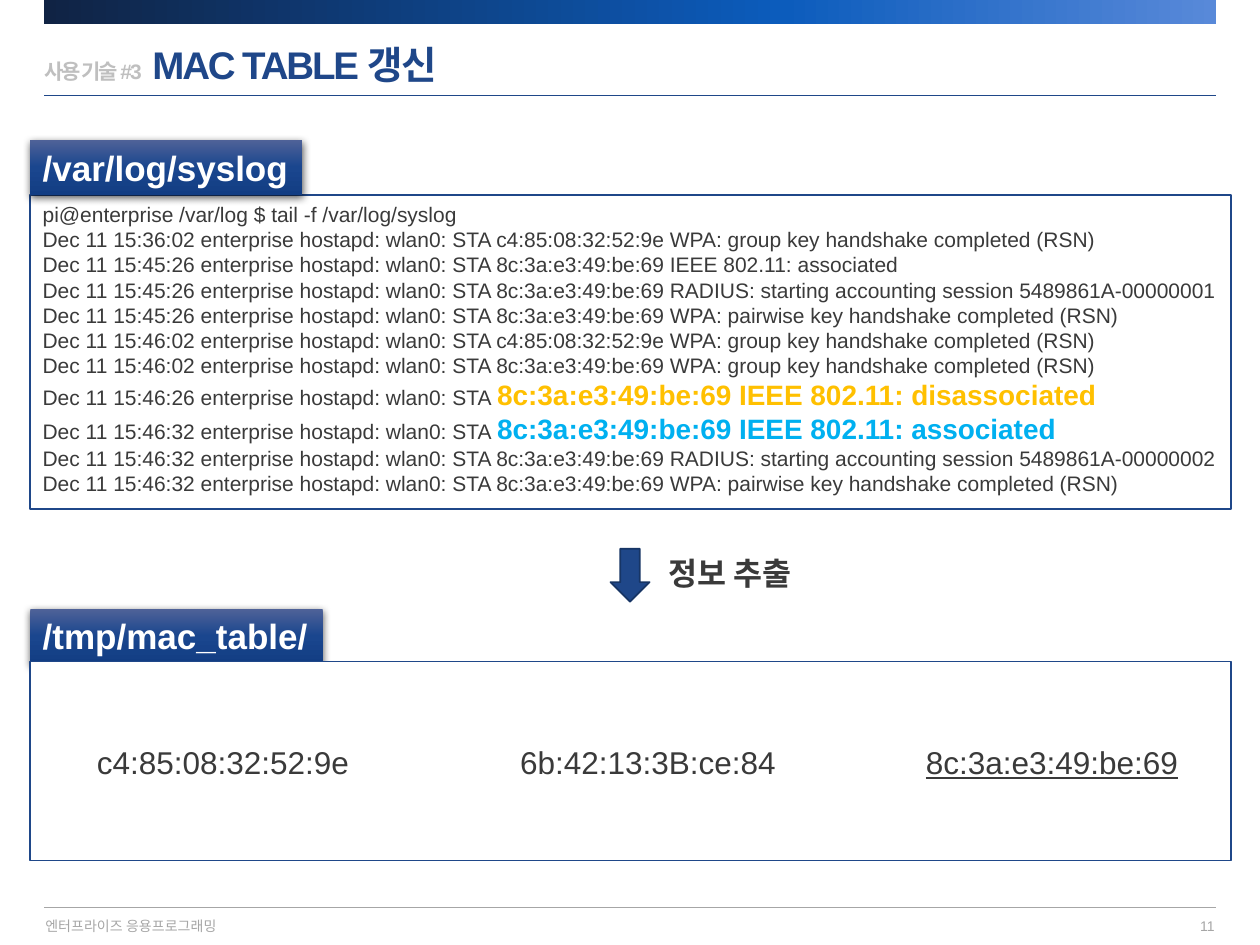
from pptx import Presentation
from pptx.dml.color import RGBColor
from pptx.enum.shapes import MSO_CONNECTOR as Connector, MSO_SHAPE as Shape
from pptx.enum.text import MSO_ANCHOR as Anchor, MSO_AUTO_SIZE as AutoSize, PP_ALIGN as Align
from pptx.oxml import parse_xml
from pptx.oxml.ns import nsdecls
from pptx.util import Inches, Pt

# Content
COLORS = {
    "navy": "1F4789", "edge": "173565", "text": "3A3A3A", "white": "FFFFFF",
    "muted": "BFBFBF", "footer": "A6A6A6", "left": "FFC000", "joined": "00B0F0",
}
BANNER_STOPS = [(0, "102344"), (63, "0C5CBC"), (100, "5889D9")]
LABEL_STOPS = [(0, "4F6298"), (50, "1A468E"), (100, "123D83")]

COMMAND = "pi@enterprise /var/log $ tail -f /var/log/syslog"
PHONE, LAPTOP, TABLET = "8c:3a:e3:49:be:69", "c4:85:08:32:52:9e", "6b:42:13:3B:ce:84"
GROUP = "WPA: group key handshake completed (RSN)"
PAIRWISE = "WPA: pairwise key handshake completed (RSN)"
SESSION = "RADIUS: starting accounting session 5489861A-0000000"
LOG = [  # time, station, message, highlight colour
    ("15:36:02", LAPTOP, GROUP, None),
    ("15:45:26", PHONE, "IEEE 802.11: associated", None),
    ("15:45:26", PHONE, SESSION + "1", None),
    ("15:45:26", PHONE, PAIRWISE, None),
    ("15:46:02", LAPTOP, GROUP, None),
    ("15:46:02", PHONE, GROUP, None),
    ("15:46:26", PHONE, "IEEE 802.11: disassociated", "left"),
    ("15:46:32", PHONE, "IEEE 802.11: associated", "joined"),
    ("15:46:32", PHONE, SESSION + "2", None),
    ("15:46:32", PHONE, PAIRWISE, None),
]
LABELS = [("/var/log/syslog", 1.11, 2.16), ("/tmp/mac_table/", 4.83, 2.32)]
STATIONS = [(LAPTOP, 0.67, 2.22, False), (TABLET, 4.03, 2.25, False), (PHONE, 7.25, 2.22, True)]

MARGIN, RIGHT = 0.35, 9.65
PANEL_LEFT, PANEL_WIDTH = 0.24, 9.53

deck = Presentation()
deck.slide_width, deck.slide_height = Inches(10), Inches(7.5)
page = deck.slides.add_slide(deck.slide_layouts[6])


def color(name):
    return RGBColor.from_string(COLORS[name])


def add_span(para, text, size, tint="text", bold=False, underline=False, spacing=None):
    span = para.add_run()
    span.text = text
    font = span.font
    font.name, font.size, font.bold = "Arial", Pt(size), bold
    font.color.rgb = color(tint)
    if underline:
        font.underline = True
    if spacing is not None:
        span._r.get_or_add_rPr().set("spc", str(round(spacing * 100)))


def add_text(left, top, width, height, inset=True, wrap=False, anchor=Anchor.TOP):
    box = page.shapes.add_textbox(*map(Inches, (left, top, width, height)))
    frame = box.text_frame
    frame.word_wrap, frame.vertical_anchor = wrap, anchor
    if not inset:
        frame.margin_left = frame.margin_right = frame.margin_top = frame.margin_bottom = 0
    return frame.paragraphs[0]


def add_block(left, top, width, height, kind=Shape.RECTANGLE, fill=None, line=None):
    block = page.shapes.add_shape(kind, *map(Inches, (left, top, width, height)))
    block.shadow.inherit = False
    if fill:
        block.fill.solid()
        block.fill.fore_color.rgb = color(fill)
    if line:
        block.line.color.rgb = color(line)
        block.line.width = Pt(1)
    else:
        block.line.fill.background()
    return block


def set_gradient(block, stops, angle):
    block.fill.gradient()
    block.fill.gradient_angle = angle
    stop_list = block._element.spPr.find(".//{*}gsLst")
    for stop in list(stop_list):
        stop_list.remove(stop)
    for place, tint in stops:
        stop_list.append(parse_xml(
            f'<a:gs {nsdecls("a")} pos="{place * 1000}"><a:srgbClr val="{tint}"/></a:gs>'))


def add_rule(top, tint, weight):
    rule = page.shapes.add_connector(
        Connector.STRAIGHT, *map(Inches, (MARGIN, top, RIGHT, top)))
    rule.line.color.rgb = color(tint)
    rule.line.width = Pt(weight)
    rule._element.spPr.append(parse_xml(f'<a:effectLst {nsdecls("a")}/>'))


def add_label(text, top, width):
    label = add_block(PANEL_LEFT, top, width, 0.44)
    set_gradient(label, LABEL_STOPS, 270)
    label._element.spPr.find("{*}effectLst").append(parse_xml(
        f'<a:outerShdw {nsdecls("a")} blurRad="{Pt(4.5)}" dist="{Pt(1.5)}" dir="5400000" '
        'rotWithShape="0"><a:srgbClr val="000000"><a:alpha val="63000"/></a:srgbClr>'
        '</a:outerShdw>'))
    frame = label.text_frame
    frame.word_wrap, frame.auto_size = False, AutoSize.SHAPE_TO_FIT_TEXT
    frame.vertical_anchor = Anchor.TOP
    para = frame.paragraphs[0]
    para.alignment = Align.LEFT
    add_span(para, text, 20, "white", bold=True)


# Banner, rules and footer
set_gradient(add_block(MARGIN, 0, RIGHT - MARGIN, 0.19), BANNER_STOPS, 0)
add_rule(0.76, "navy", 0.5)
add_rule(7.2, "footer", 0.25)
add_span(add_text(0.36, 7.28, 1.52, 0.13, inset=False), "엔터프라이즈 응용프로그래밍", 8, "footer")
number = add_text(8.36, 7.25, 1.28, 0.2, inset=False, wrap=True, anchor=Anchor.MIDDLE)
number.alignment = Align.RIGHT
add_span(number, "11", 8, "footer")

# Title
title = add_text(MARGIN, 0.27, 9.29, 0.48, inset=False, wrap=True, anchor=Anchor.MIDDLE)
for text, size, tint in [("사용 기술 #3", 12, "muted"), (" ", 22, "muted"),
                         ("MAC TABLE 갱신", 22, "navy")]:
    add_span(title, text, size, tint, bold=True, spacing=-1.2)

# System log panel
panel = add_block(PANEL_LEFT, 1.55, PANEL_WIDTH, 2.49, fill="white", line="navy")
frame = panel.text_frame
frame.word_wrap, frame.vertical_anchor = True, Anchor.TOP
add_span(frame.paragraphs[0], COMMAND, 12)
for time, station, message, highlight in LOG:
    para = frame.add_paragraph()
    prefix, event = f"Dec 11 {time} enterprise hostapd: wlan0: STA ", f"{station} {message}"
    if highlight:
        add_span(para, prefix, 12)
        add_span(para, event, 16, highlight, bold=True)
    else:
        add_span(para, prefix + event, 12)
for para in frame.paragraphs:
    para.alignment = Align.LEFT
add_label(*LABELS[0])

# Extraction step
arrow = add_block(4.79, 4.41, 0.42, 0.31, Shape.RIGHT_ARROW, "navy", "edge")
arrow.rotation = 90
add_span(add_text(5.21, 4.35, 1.28, 0.4), "정보 추출", 18, bold=True)

# Address table panel
add_label(*LABELS[1])
add_block(PANEL_LEFT, 5.25, PANEL_WIDTH, 1.58, fill="white", line="navy")
for station, left, width, underline in STATIONS:
    add_span(add_text(left, 5.85, width, 0.4), station, 18, underline=underline)

deck.save("out.pptx")
